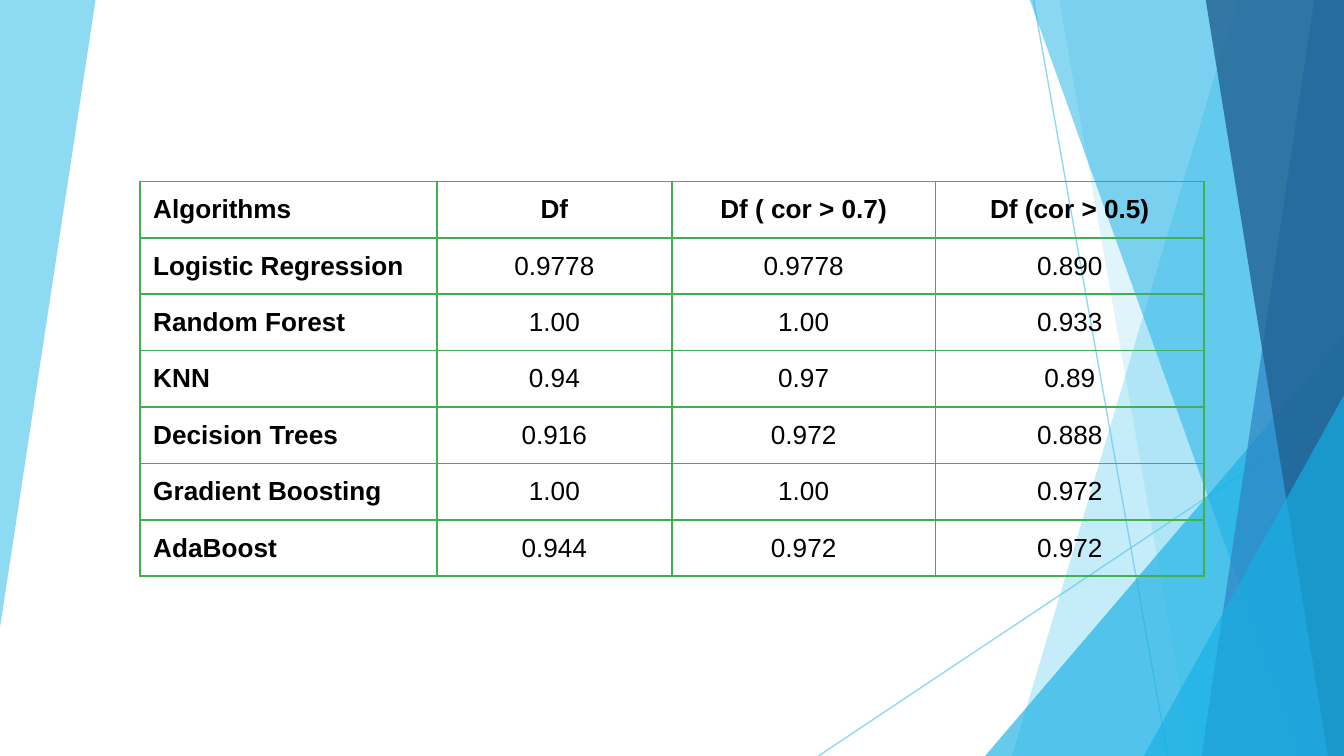
from lxml.etree import SubElement
from pptx import Presentation
from pptx.dml.color import RGBColor
from pptx.enum.shapes import MSO_CONNECTOR as Connector, MSO_SHAPE as Shape
from pptx.enum.text import MSO_ANCHOR as Anchor, PP_ALIGN as Align
from pptx.oxml.ns import qn
from pptx.util import Inches, Pt

COLORS = {
    "sky": "5FCBEF",
    "cyan": "17B0E4",
    "blue": "2E83C3",
    "navy": "226292",
    "grid": "42B051",
    "text": "000000",
}
FONT = "Arial"
TOP, RIGHT = -0.01, 10
BOTTOM = RIGHT * 9 / 16  # widescreen page

RESULTS = [
    ("Algorithms", "Df", "Df ( cor > 0.7)", "Df (cor > 0.5)"),
    ("Logistic Regression", "0.9778", "0.9778", "0.890"),
    ("Random Forest", "1.00", "1.00", "0.933"),
    ("KNN", "0.94", "0.97", "0.89"),
    ("Decision Trees", "0.916", "0.972", "0.888"),
    ("Gradient Boosting", "1.00", "1.00", "0.972"),
    ("AdaBoost", "0.944", "0.972", "0.972"),
]


def write_text(frame, text, size=14, bold=False, align=Align.LEFT, color="text"):
    para = frame.paragraphs[0]
    para.alignment = align
    span = para.add_run()
    span.text = text
    span.font.name = FONT
    span.font.size = Pt(size)
    span.font.bold = bold
    span.font.color.rgb = RGBColor.from_string(COLORS[color])


class SlidePainter:
    """Holds the style and the slide being drawn."""

    def __init__(self, slide, colors):
        self.slide = slide
        self.shapes = slide.shapes
        self.colors = colors

    def rgb(self, name):
        return RGBColor.from_string(self.colors[name])

    def set_opacity(self, properties, percent):
        color = next(properties.iter(qn("a:srgbClr")))
        SubElement(color, qn("a:alpha"), val=str(percent * 1000))

    def paint(self, shape, color, opacity):
        shape.shadow.inherit = False
        shape.fill.solid()
        shape.fill.fore_color.rgb = self.rgb(color)
        self.set_opacity(shape._element.spPr, opacity)
        shape.line.fill.background()

    def polygon(self, points, color, opacity):
        corners = [(Inches(x), Inches(y)) for x, y in points]
        builder = self.shapes.build_freeform(*corners[0])
        builder.add_line_segments(corners[1:], close=True)
        self.paint(builder.convert_to_shape(), color, opacity)

    def right_band(self, top_x, bottom_x, color, opacity):
        """Facet from a slanted left edge to the right edge of the slide."""
        points = [(top_x, TOP), (RIGHT, TOP), (RIGHT, BOTTOM), (bottom_x, BOTTOM)]
        self.polygon(points, color, opacity)

    def corner_triangle(self, left, top, color, opacity):
        """Triangle in the lower right corner, with its apex on the right."""
        triangle = self.shapes.add_shape(
            Shape.ISOSCELES_TRIANGLE, Inches(left), Inches(top),
            Inches(RIGHT - left), Inches(BOTTOM - top))
        triangle.adjustments[0] = 1
        self.paint(triangle, color, opacity)

    def line(self, start, end, color, opacity, width=0.75):
        ends = [Inches(value) for value in (*start, *end)]
        connector = self.shapes.add_connector(Connector.STRAIGHT, *ends)
        connector.line.width = Pt(width)
        connector.line.color.rgb = self.rgb(color)
        properties = connector._element.spPr
        self.set_opacity(properties, opacity)
        SubElement(properties, qn("a:effectLst"))

    def cell_borders(self, cell, color, width=1):
        properties = cell._tc.get_or_add_tcPr()
        for position, side in enumerate(("lnL", "lnR", "lnT", "lnB")):
            border = properties.makeelement(qn(f"a:{side}"), {"w": str(Pt(width))})
            fill = SubElement(border, qn("a:solidFill"))
            SubElement(fill, qn("a:srgbClr"), val=self.colors[color])
            properties.insert(position, border)

    def table(self, rows, left, top, widths, row_height):
        frame = self.shapes.add_table(
            len(rows), len(widths), Inches(left), Inches(top),
            Inches(sum(widths)), Inches(row_height * len(rows)))
        table = frame.table
        table.first_row = table.horz_banding = False
        for column, width in zip(table.columns, widths):
            column.width = Inches(width)
        for r, values in enumerate(rows):
            table.rows[r].height = Inches(row_height)
            for c, value in enumerate(values):
                cell = table.cell(r, c)
                cell.margin_left = cell.margin_right = Inches(0.1)
                cell.margin_top = cell.margin_bottom = Inches(0.1)
                cell.vertical_anchor = Anchor.TOP
                cell.fill.background()
                self.cell_borders(cell, "grid")
                write_text(cell.text_frame, value, bold=r == 0 or c == 0,
                           align=Align.CENTER if c else Align.LEFT)


def main():
    deck = Presentation()
    deck.slide_width, deck.slide_height = Inches(RIGHT), Inches(BOTTOM)
    painter = SlidePainter(deck.slides.add_slide(deck.slide_layouts[6]), COLORS)

    # Left facet
    painter.polygon([(0, 0), (0.71, TOP), (0.71, 0.01), (0, 4.67)], "sky", 70)

    # Thin crossing lines
    painter.line((7.69, 0), (8.69, BOTTOM), "sky", 70)
    painter.line((RIGHT, 3.02), (6.09, BOTTOM), "sky", 70)

    # Right facets, back to front
    painter.right_band(9.21, 7.53, "sky", 36)
    painter.right_band(7.88, 8.87, "sky", 20)
    painter.corner_triangle(7.33, 2.5, "cyan", 66)
    painter.right_band(7.66, 9.68, "cyan", 50)
    painter.right_band(9.78, 8.94, "blue", 70)
    painter.right_band(8.97, 9.88, "navy", 80)
    painter.corner_triangle(8.51, 2.94, "cyan", 66)

    # Accuracy table
    painter.table(RESULTS, 1.04, 1.35, (2.21, 1.75, 1.96, 2), 0.42)

    deck.save("out.pptx")


if __name__ == "__main__":
    main()
